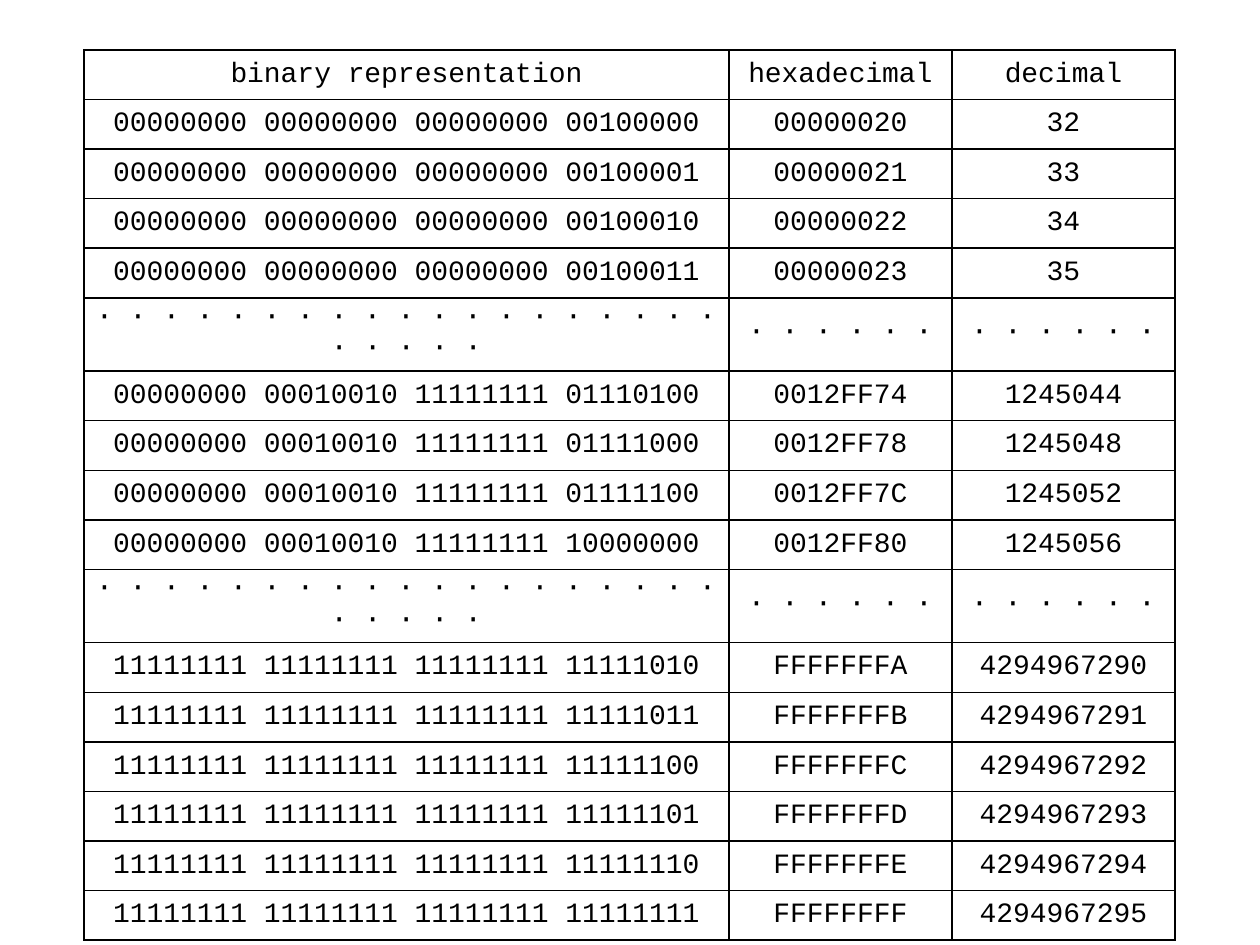
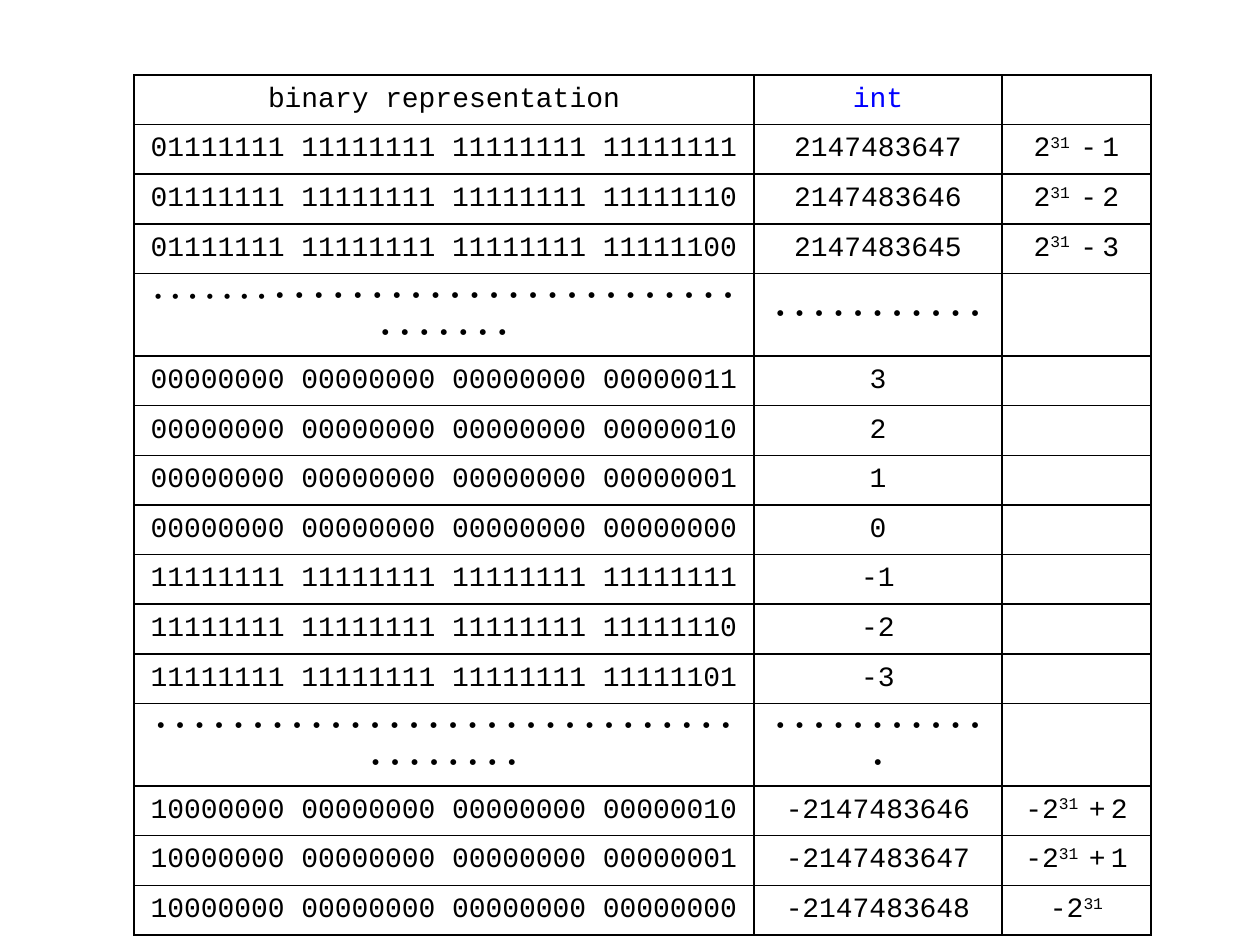
import pptx
import pptx.dml.color
import pptx.enum.text
import pptx.oxml
import pptx.oxml.ns
import pptx.util

PX = 914400 / 126
BLACK = pptx.dml.color.RGBColor(0, 0, 0)
BLUE = pptx.dml.color.RGBColor(0, 0, 255)
CODE = {"name": "Courier New", "size": pptx.util.Pt(16), "bold": False}
DOTS = {"name": "Cambria", "size": pptx.util.Pt(18), "bold": True}
SMALL_DOTS = {**DOTS, "size": pptx.util.Pt(16)}
MARGINS = {"margin_left": 12, "margin_right": 12, "margin_top": 5, "margin_bottom": 5}


def octets(number):
    """Return the 32 bits of a number in four groups of eight."""
    bits = f"{number & 0xFFFFFFFF:032b}"
    return " ".join(bits[i:i + 8] for i in range(0, 32, 8))


def dots(count):
    return " ".join("⋅" * count)


# Unsigned values: binary, hexadecimal and decimal
unsigned_rows = [["binary representation", "hexadecimal", "decimal"]]
for block in (range(32, 36), range(1245044, 1245057, 4), range(4294967290, 4294967296)):
    if len(unsigned_rows) > 1:
        unsigned_rows.append([dots(24), dots(6), dots(6)])
    for value in block:
        unsigned_rows.append([octets(value), f"{value:08X}", str(value)])

# Signed values: binary, int and power of two
signed_rows = [["binary representation", [("int", CODE, BLUE, {})], ""]]
for value, pattern, sign, offset in ((2147483647, 0x7FFFFFFF, "-", "1"),
                                     (2147483646, 0x7FFFFFFE, "-", "2"),
                                     (2147483645, 0x7FFFFFFC, "-", "3"),
                                     (-2147483646, 0x80000002, "+", "2"),
                                     (-2147483647, 0x80000001, "+", "1")):
    power = [("2" if value > 0 else "-2", CODE, BLACK, {}),
             ("3", CODE, BLACK, {"baseline": "30000"}),
             ("1", CODE, BLACK, {"baseline": "30000", "spc": "600"}),
             (sign, CODE, BLACK, {"spc": "300"}),
             (offset, CODE, BLACK, {})]
    signed_rows.append([octets(pattern), str(value), power])
signed_rows.append([octets(-2147483648), "-2147483648",
                    [("-2", CODE, BLACK, {}), ("31", CODE, BLACK, {"baseline": "30000"})]])
small_rows = [[octets(value), str(value), ""] for value in range(3, -4, -1)]
upper_gap = [[(dots(7) + " ", SMALL_DOTS, BLACK, {}), (dots(31), DOTS, BLACK, {})],
             [(dots(11), DOTS, BLACK, {})], ""]
lower_gap = [[(dots(38), DOTS, BLACK, {})], [(dots(12), DOTS, BLACK, {})], ""]
signed_rows[4:4] = [upper_gap, *small_rows, lower_gap]

deck = pptx.Presentation()
deck.slide_width = round(1260 * PX)
deck.slide_height = round(945 * PX)

for rows, left, top, widths, height in (
        (unsigned_rows, 84, 50, (645, 223, 223), 843),
        (signed_rows, 134, 75, (620, 248, 149), 794)):
    slide = deck.slides.add_slide(deck.slide_layouts[6])
    table = slide.shapes.add_table(len(rows), len(widths), round(left * PX), round(top * PX),
                                   round(sum(widths) * PX), round(height * PX)).table
    table.first_row = False
    table.horz_banding = False
    for column, width in zip(table.columns, widths):
        column.width = round(width * PX)
    for row in table.rows:
        row.height = round(height * PX / len(rows))

    for r, row in enumerate(rows):
        for c, content in enumerate(row):
            cell = table.cell(r, c)
            cell.vertical_anchor = pptx.enum.text.MSO_ANCHOR.MIDDLE
            for side, margin in MARGINS.items():
                setattr(cell, side, round(margin * PX))
            properties = cell._tc.get_or_add_tcPr()
            for edge in ("lnL", "lnR", "lnT", "lnB"):
                properties.append(pptx.oxml.parse_xml(
                    f'<a:{edge} {pptx.oxml.ns.nsdecls("a")} w="12700"><a:solidFill>'
                    f'<a:srgbClr val="{BLACK}"/></a:solidFill></a:{edge}>'))
            cell.fill.background()

            paragraph = cell.text_frame.paragraphs[0]
            paragraph.alignment = pptx.enum.text.PP_ALIGN.CENTER
            if isinstance(content, str):
                content = [(content, CODE, BLACK, {})] if content else []
            for text, style, color, extras in content:
                run = paragraph.add_run()
                run.text = text
                for key, setting in style.items():
                    setattr(run.font, key, setting)
                run.font.color.rgb = color
                for key, setting in extras.items():
                    run._r.get_or_add_rPr().set(key, setting)

deck.save("out.pptx")
